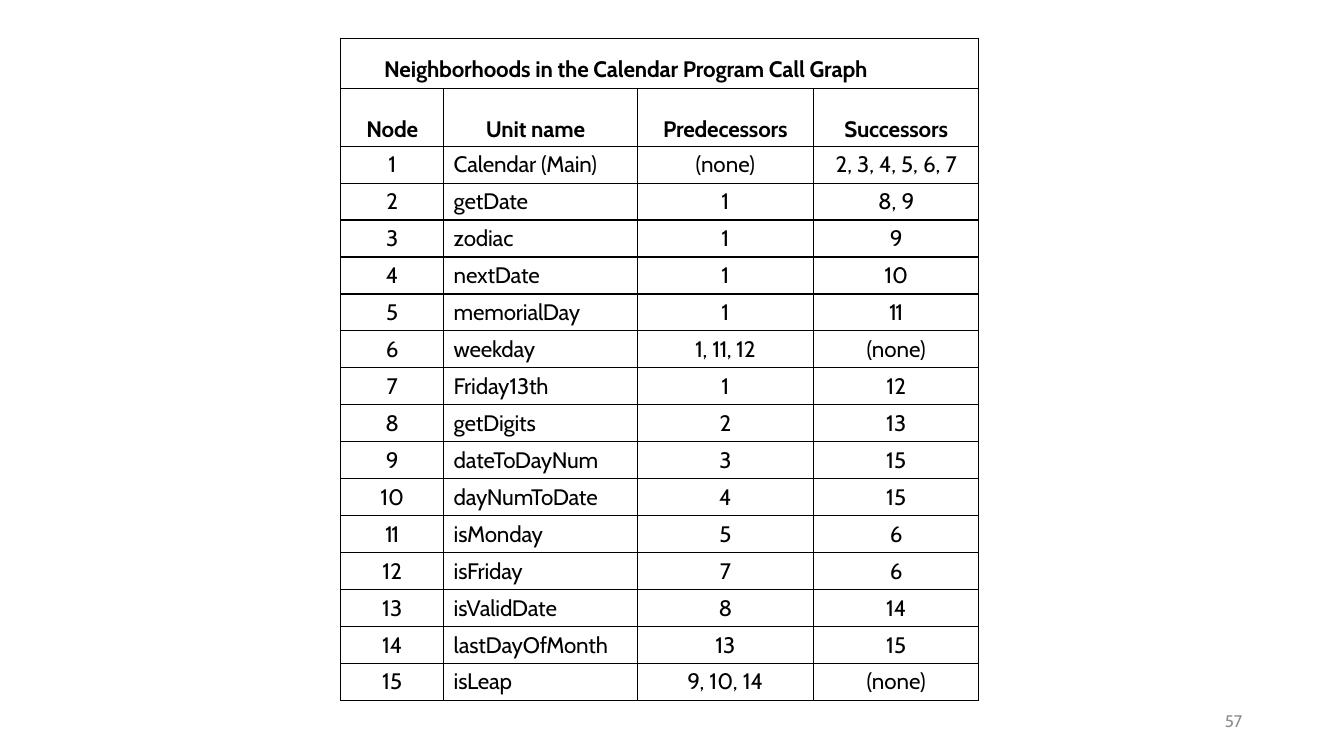
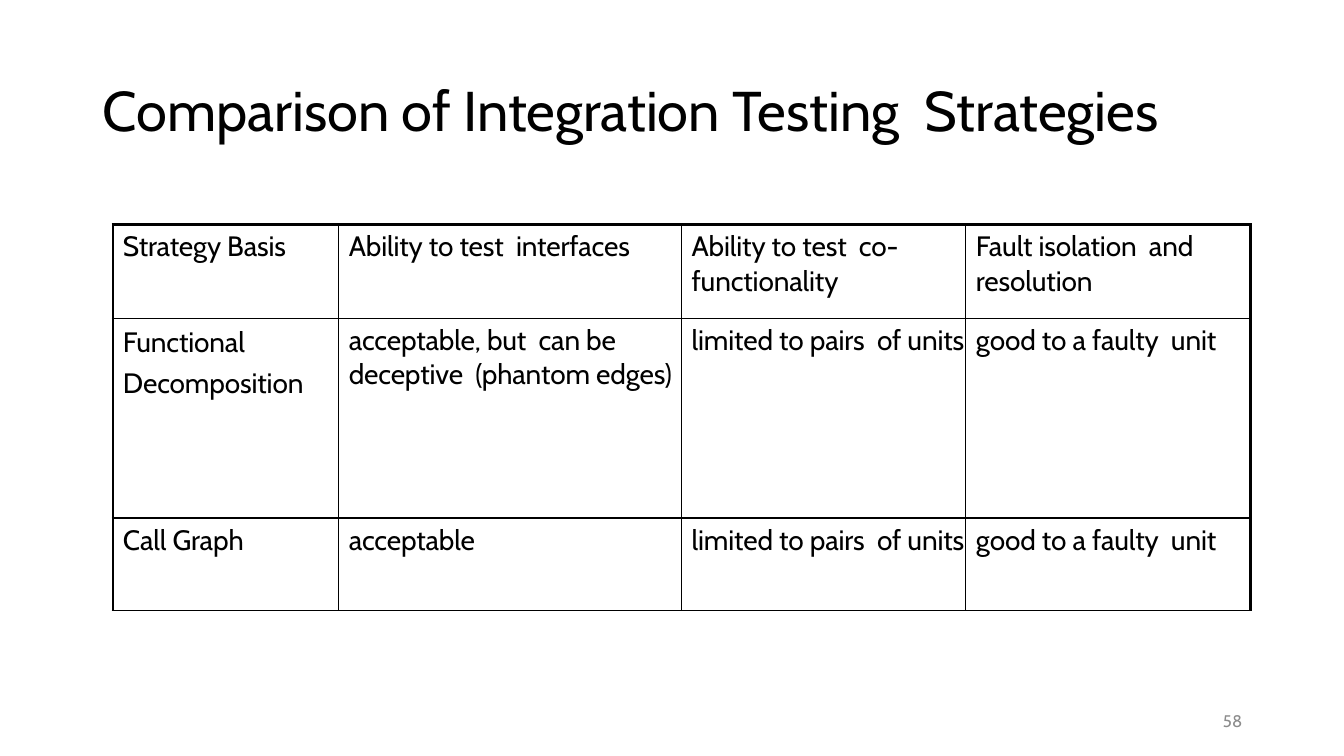
import pptx
import pptx.dml.color
import pptx.enum.text
import pptx.oxml.ns
import pptx.util
from lxml import etree

WIDTH, HEIGHT = 13.33, 7.5
FONT = "Cabin"
COLORS = {"ink": "000000", "page_number": "8C8C8C"}
FIRST_PAGE = 57
TITLE_ONLY, BLANK = 5, 6
ALIGN = pptx.enum.text.PP_ALIGN
MIDDLE = pptx.enum.text.MSO_ANCHOR.MIDDLE
THIN, THICK = 1, 2.25
TIGHT = -0.1
ELEVEN = [("11", -1.2)]

CALL_GRAPH = [
    ("Calendar (Main)", "(none)", "2, 3, 4, 5, 6, 7"),
    ("getDate", "1", "8, 9"),
    ("zodiac", "1", "9"),
    ("nextDate", "1", "10"),
    ("memorialDay", "1", ELEVEN),
    ("weekday", [("1, ", TIGHT), ("11, ", -0.5), ("12", 0)], "(none)"),
    ("Friday13th", "1", "12"),
    ("getDigits", "2", "13"),
    ("dateToDayNum", "3", "15"),
    ("dayNumToDate", "4", "15"),
    ("isMonday", "5", "6"),
    ("isFriday", "7", "6"),
    ("isValidDate", "8", "14"),
    ("lastDayOfMonth", "13", "15"),
    ("isLeap", "9, 10, 14", "(none)"),
]

STRATEGIES = [
    ("Strategy Basis", "Ability to test  interfaces",
     "Ability to test  co-functionality", "Fault isolation  and resolution"),
    ("Functional Decomposition",
     "acceptable, but  can be deceptive  (phantom edges)",
     "limited to pairs  of units", "good to a faulty  unit"),
    ("Call Graph", "acceptable",
     "limited to pairs  of units", "good to a faulty  unit"),
]


def across(percent):
    return pptx.util.Inches(WIDTH * percent / 100)


def down(percent):
    return pptx.util.Inches(HEIGHT * percent / 100)


def add_span(para, text, size, color="ink", bold=False, tracking=0):
    span = para.add_run()
    span.text = text
    span.font.name = FONT
    span.font.size = pptx.util.Pt(size)
    span.font.bold = bold
    span.font.color.rgb = pptx.dml.color.RGBColor.from_string(COLORS[color])
    if tracking:
        span.font._element.set("spc", str(round(tracking * 100)))


def write_cell(cell, content, size, left=0, top=0.05, align=ALIGN.LEFT,
               bold=False, tracking=0):
    cell.margin_left = pptx.util.Inches(left)
    cell.margin_top = pptx.util.Inches(top)
    cell.margin_right = cell.margin_bottom = 0
    para = cell.text_frame.paragraphs[0]
    para.alignment = align
    spans = [(content, tracking)] if isinstance(content, str) else content
    for text, spacing in spans:
        add_span(para, text, size, bold=bold, tracking=spacing)


def draw_borders(cell, widths):
    properties = cell._tc.get_or_add_tcPr()
    for side, width in zip("LRTB", widths):
        line = etree.SubElement(properties, pptx.oxml.ns.qn(f"a:ln{side}"),
                                w=str(pptx.util.Pt(width)))
        fill = etree.SubElement(line, pptx.oxml.ns.qn("a:solidFill"))
        etree.SubElement(fill, pptx.oxml.ns.qn("a:srgbClr"), val=COLORS["ink"])


def add_grid(page, left, top, columns, rows, outer=THIN):
    frame = page.shapes.add_table(len(rows), len(columns), across(left), down(top),
                                  across(sum(columns)), down(sum(rows)))
    table = frame.table
    table.first_row = table.horz_banding = False
    for column, width in zip(table.columns, columns):
        column.width = across(width)
    for row, height in zip(table.rows, rows):
        row.height = down(height)
    last = len(columns) - 1
    for r in range(len(rows)):
        for c in range(len(columns)):
            cell = table.cell(r, c)
            draw_borders(cell, (outer if c == 0 else THIN,
                                outer if c == last else THIN,
                                outer if r == 0 else THIN, THIN))
            cell.fill.background()
    return table


def add_page_number(page, number):
    box = page.shapes.add_textbox(across(70.67), down(92.67), across(22.5), down(5.33))
    box.text_frame.word_wrap = True
    box.text_frame.vertical_anchor = MIDDLE
    para = box.text_frame.paragraphs[0]
    para.alignment = ALIGN.RIGHT
    add_span(para, str(number), 12, "page_number")


def set_title(page, text):
    title = page.shapes.title
    title.left, title.top = across(6.9), down(5.33)
    title.width, title.height = across(86.27), down(19.33)
    title.text_frame.word_wrap = True
    title.text_frame.vertical_anchor = MIDDLE
    para = title.text_frame.paragraphs[0]
    para.alignment = ALIGN.LEFT
    para.line_spacing = 0.9
    add_span(para, text, 40)


def build_neighborhoods(page):
    size = 16
    table = add_grid(page, 25.36, 5.07, [7.65, 14.4, 13.13, 12.3],
                     [6.67, 7.6] + [4.89] * len(CALL_GRAPH))
    table.cell(0, 0).merge(table.cell(0, 3))
    write_cell(table.cell(0, 0), "Neighborhoods in the Calendar Program Call Graph",
               size, left=0.43, top=0.18, bold=True, tracking=TIGHT)
    for c, heading in enumerate(("Node", "Unit name", "Predecessors", "Successors")):
        name_column = c == 1
        write_cell(table.cell(1, c), heading, size, left=0.42 if name_column else 0,
                   top=0.27, align=ALIGN.LEFT if name_column else ALIGN.CENTER,
                   bold=True, tracking=TIGHT)
    for node, (name, predecessors, successors) in enumerate(CALL_GRAPH, 1):
        row = node + 1
        write_cell(table.cell(row, 1), name, size, left=0.1, tracking=TIGHT)
        label = ELEVEN if node == 11 else str(node)
        for c, content in ((0, label), (2, predecessors), (3, successors)):
            write_cell(table.cell(row, c), content, size, align=ALIGN.CENTER)


def build_strategies(page):
    set_title(page, "Comparison of Integration Testing  Strategies")
    table = add_grid(page, 8.4, 29.73, [16.8, 25.51, 21.16, 21.16],
                     [12.4, 26.4, 12.27], outer=THICK)
    for r, contents in enumerate(STRATEGIES):
        for c, content in enumerate(contents):
            write_cell(table.cell(r, c), content, 20, left=0.1, tracking=TIGHT)
    decomposition = table.cell(1, 0)
    decomposition.margin_top = pptx.util.Inches(0.01)
    decomposition.text_frame.paragraphs[0].line_spacing = pptx.util.Pt(28.8)


def main():
    deck = pptx.Presentation()
    deck.slide_width, deck.slide_height = across(100), down(100)
    builders = ((BLANK, build_neighborhoods), (TITLE_ONLY, build_strategies))
    for number, (layout, build) in enumerate(builders, FIRST_PAGE):
        page = deck.slides.add_slide(deck.slide_layouts[layout])
        build(page)
        add_page_number(page, number)
    deck.save("out.pptx")


if __name__ == "__main__":
    main()
